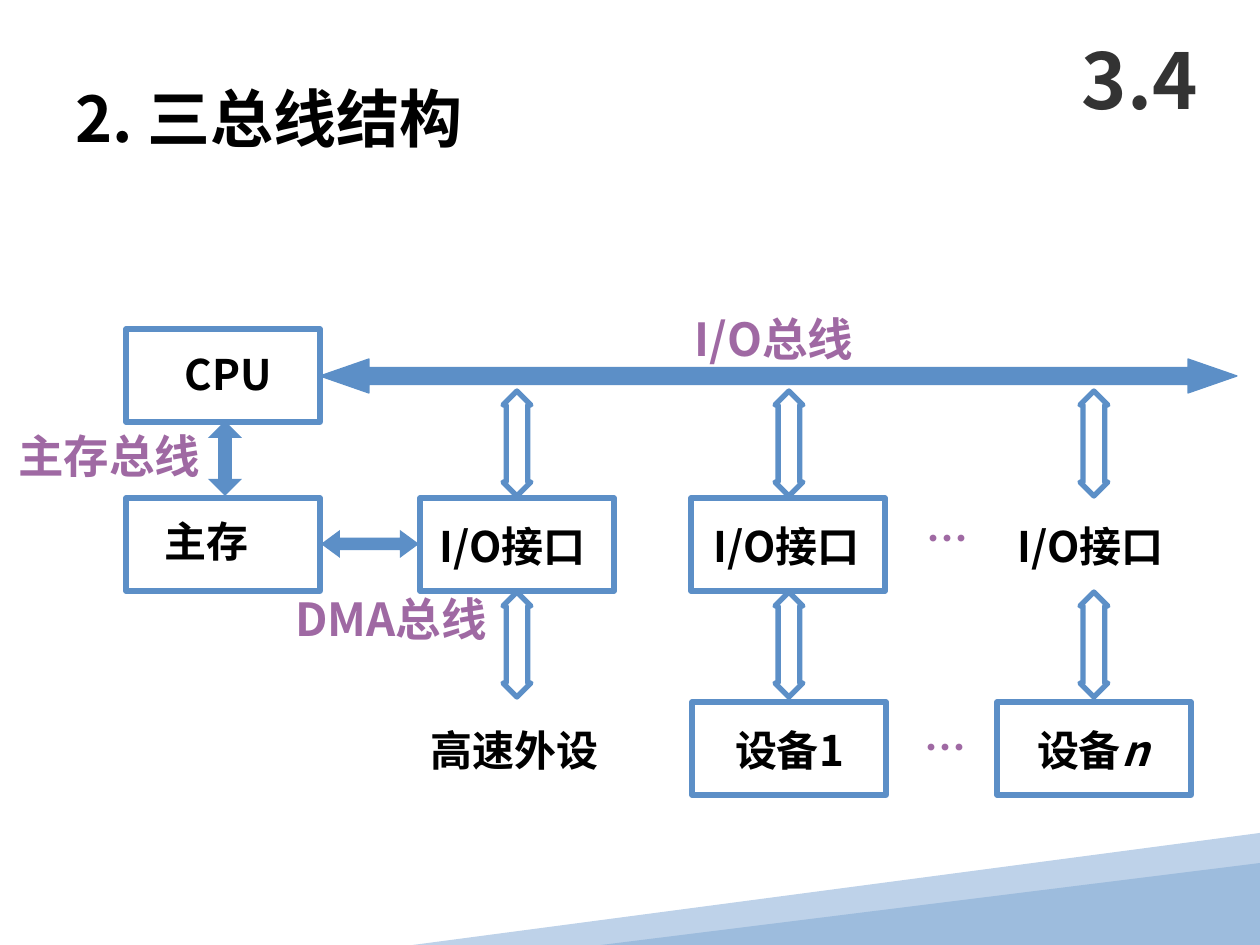
import dataclasses
import itertools
import typing

import pptx
import pptx.dml.color
import pptx.enum.shapes
import pptx.enum.text
import pptx.oxml
import pptx.oxml.ns
import pptx.util

Color = pptx.dml.color.RGBColor
Preset = pptx.enum.shapes.MSO_SHAPE
AutoSize = pptx.enum.text.MSO_AUTO_SIZE

PX_PER_INCH = 126
FONT = "Noto Sans CJK SC"
BLACK = Color(0x00, 0x00, 0x00)
CHARCOAL = Color(0x33, 0x33, 0x33)
PURPLE = Color(0x9F, 0x69, 0xA3)
BLUE = Color(0x5C, 0x8F, 0xC7)
PALE_BLUE = Color(0xBE, 0xD2, 0xE9)
SOFT_BLUE = Color(0x9D, 0xBC, 0xDD)

NO_INSET = (0, 0)
INSET = (13, 6)
BOX_SIZE = (194, 93)
BOX_CORNERS = [(126, 329), (126, 498), (420, 498), (691, 498), (692, 702), (997, 702)]
HOLLOW_LEFTS = (503, 775, 1080)
HOLLOW_TOPS = (391, 592)
HOLLOW_SIZE = (28, 105)


class Arrow(typing.NamedTuple):
    preset: Preset
    left: int
    top: int
    width: int
    height: int
    shaft: float
    head: float
    line_width: float = 0


@dataclasses.dataclass
class Label:
    text: str
    left: int
    top: int
    width: int
    height: int
    size: int = 24
    color: Color = BLACK
    inset: tuple[int, int] = NO_INSET
    wrap: bool = True
    italic_tail: str = ""


BUS_ARROWS = [
    Arrow(Preset.UP_DOWN_ARROW, 208, 421, 34, 75, 0.52, 0.41),
    Arrow(Preset.LEFT_RIGHT_ARROW, 321, 530, 98, 28, 0.45, 0.68),
    Arrow(Preset.LEFT_RIGHT_ARROW, 320, 359, 917, 34, 0.5, 1.44, 0.75),
]
HOLLOW_ARROWS = [
    Arrow(Preset.UP_DOWN_ARROW, left, top, *HOLLOW_SIZE, 0.5, 0.77, 3)
    for left, top in itertools.product(HOLLOW_LEFTS, HOLLOW_TOPS)
]
LABELS = [
    Label("主存总线", 18, 428, 183, 54, 26, PURPLE, wrap=False),
    Label("DMA总线", 295, 591, 210, 54, 26, PURPLE, wrap=False),
    Label("I/O总线", 682, 305, 200, 68, 26, PURPLE, INSET, False),
    Label("CPU", 185, 349, 130, 50),
    Label("主存", 165, 516, 182, 50),
    Label("设备1", 735, 725, 147, 50),
    Label("设备", 1037, 725, 160, 50, italic_tail="n"),
    Label("高速外设", 431, 725, 221, 50),
    Label("I/O接口", 427, 515, 213, 63, inset=INSET),
    Label("I/O接口", 701, 515, 223, 63, inset=INSET),
    Label("I/O接口", 1005, 515, 202, 63, inset=INSET),
    Label("…", 911, 716, 67, 63, color=PURPLE, inset=INSET, wrap=False),
    Label("…", 914, 507, 67, 63, color=PURPLE, inset=INSET, wrap=False),
]


def px(length: int) -> pptx.util.Emu:
    return pptx.util.Emu(round(length * 914400 / PX_PER_INCH))


def set_all(target: typing.Any, values: dict[str, typing.Any]) -> None:
    for name, value in values.items():
        setattr(target, name, value)


def place(shape: typing.Any, left: int, top: int, width: int, height: int) -> None:
    set_all(shape, {"left": px(left), "top": px(top),
                    "width": px(width), "height": px(height)})


def paint(shape: typing.Any, fill: Color | None, line_width: float = 0) -> None:
    shape.shadow.inherit = False
    if fill is None:
        shape.fill.background()
    else:
        shape.fill.solid()
        shape.fill.fore_color.rgb = fill
    if line_width:
        shape.line.color.rgb = BLUE
        shape.line.width = pptx.util.Pt(line_width)
    else:
        shape.line.fill.background()


def add_span(para: typing.Any, text: str, size: int, color: Color,
             italic: bool = False) -> None:
    """Add a bold run that uses the slide font for Latin and Chinese alike."""
    span = para.add_run()
    span.text = text
    set_all(span.font, {"size": pptx.util.Pt(size), "bold": True,
                        "italic": italic or None, "name": FONT})
    span.font.color.rgb = color
    east_asian = pptx.oxml.parse_xml(
        f'<a:ea {pptx.oxml.ns.nsdecls("a")} typeface="{FONT}"/>')
    span.font._element.append(east_asian)


def add_preset(slide: typing.Any, preset: Preset, left: int, top: int,
               width: int, height: int) -> typing.Any:
    return slide.shapes.add_shape(preset, px(left), px(top), px(width), px(height))


def add_arrow(slide: typing.Any, arrow: Arrow, fill: Color | None) -> None:
    shape = add_preset(slide, *arrow[:5])
    shape.adjustments[0] = arrow.shaft
    shape.adjustments[1] = arrow.head
    paint(shape, fill, arrow.line_width)


def add_label(slide: typing.Any, label: Label) -> None:
    box = slide.shapes.add_textbox(px(label.left), px(label.top),
                                   px(label.width), px(label.height))
    side, end = map(px, label.inset)
    set_all(box.text_frame, {
        "margin_left": side, "margin_right": side, "margin_top": end,
        "margin_bottom": end, "word_wrap": label.wrap,
        "auto_size": AutoSize.SHAPE_TO_FIT_TEXT})
    para = box.text_frame.paragraphs[0]
    add_span(para, label.text, label.size, label.color)
    if label.italic_tail:
        add_span(para, label.italic_tail, label.size, label.color, italic=True)


def add_corner_bands(slide: typing.Any) -> None:
    builder = slide.shapes.build_freeform(1260, 833, scale=914400 / PX_PER_INCH)
    builder.add_line_segments([(1260, 937), (848, 945), (413, 945)])
    paint(builder.convert_to_shape(), PALE_BLUE)
    wedge = add_preset(slide, Preset.ISOSCELES_TRIANGLE, 601, 863, 659, 82)
    wedge.adjustments[0] = 1
    paint(wedge, SOFT_BLUE)


def fill_placeholders(slide: typing.Any) -> None:
    title, body = slide.placeholders
    place(title, 1061, 21, 158, 116)
    place(body, 63, 73, 1071, 95)
    for holder, text, size, color in ((title, "3.4", 44, CHARCOAL),
                                      (body, "2. 三总线结构", 36, BLACK)):
        set_all(holder.text_frame, {"auto_size": AutoSize.NONE, "word_wrap": True})
        para = holder.text_frame.paragraphs[0]
        para.space_before = pptx.util.Pt(0)
        add_span(para, text, size, color)
    properties = body.text_frame.paragraphs[0]._p.get_or_add_pPr()
    properties.append(pptx.oxml.parse_xml(f'<a:buNone {pptx.oxml.ns.nsdecls("a")}/>'))


def main() -> None:
    deck = pptx.Presentation()
    deck.slide_width, deck.slide_height = px(1260), px(945)
    slide = deck.slides.add_slide(deck.slide_layouts[1])
    add_corner_bands(slide)
    fill_placeholders(slide)
    for arrow in BUS_ARROWS:
        add_arrow(slide, arrow, BLUE)
    for corner in BOX_CORNERS:
        paint(add_preset(slide, Preset.RECTANGLE, *corner, *BOX_SIZE), None, 3)
    for arrow in HOLLOW_ARROWS:
        add_arrow(slide, arrow, None)
    for label in LABELS:
        add_label(slide, label)
    deck.save("out.pptx")


if __name__ == "__main__":
    main()
